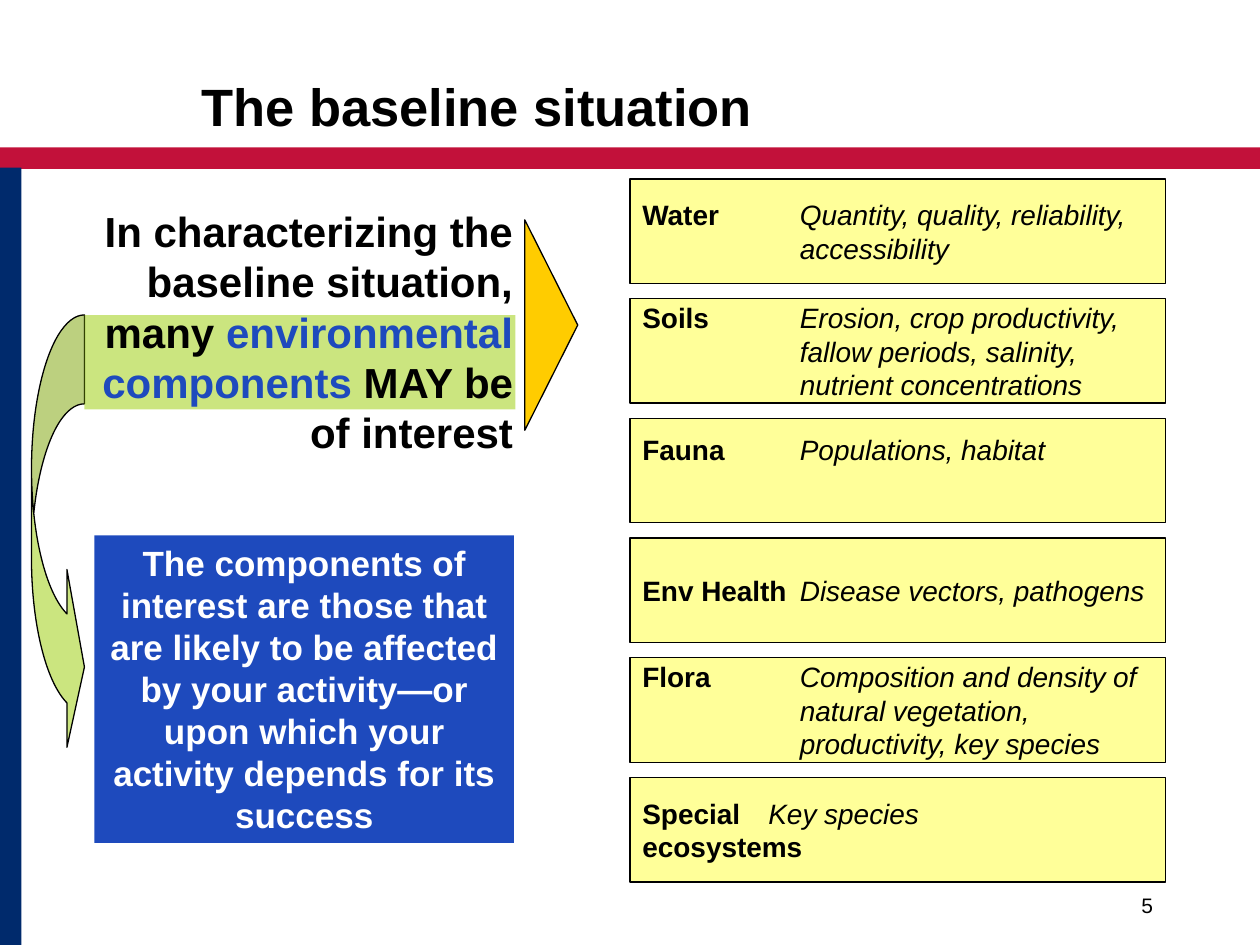
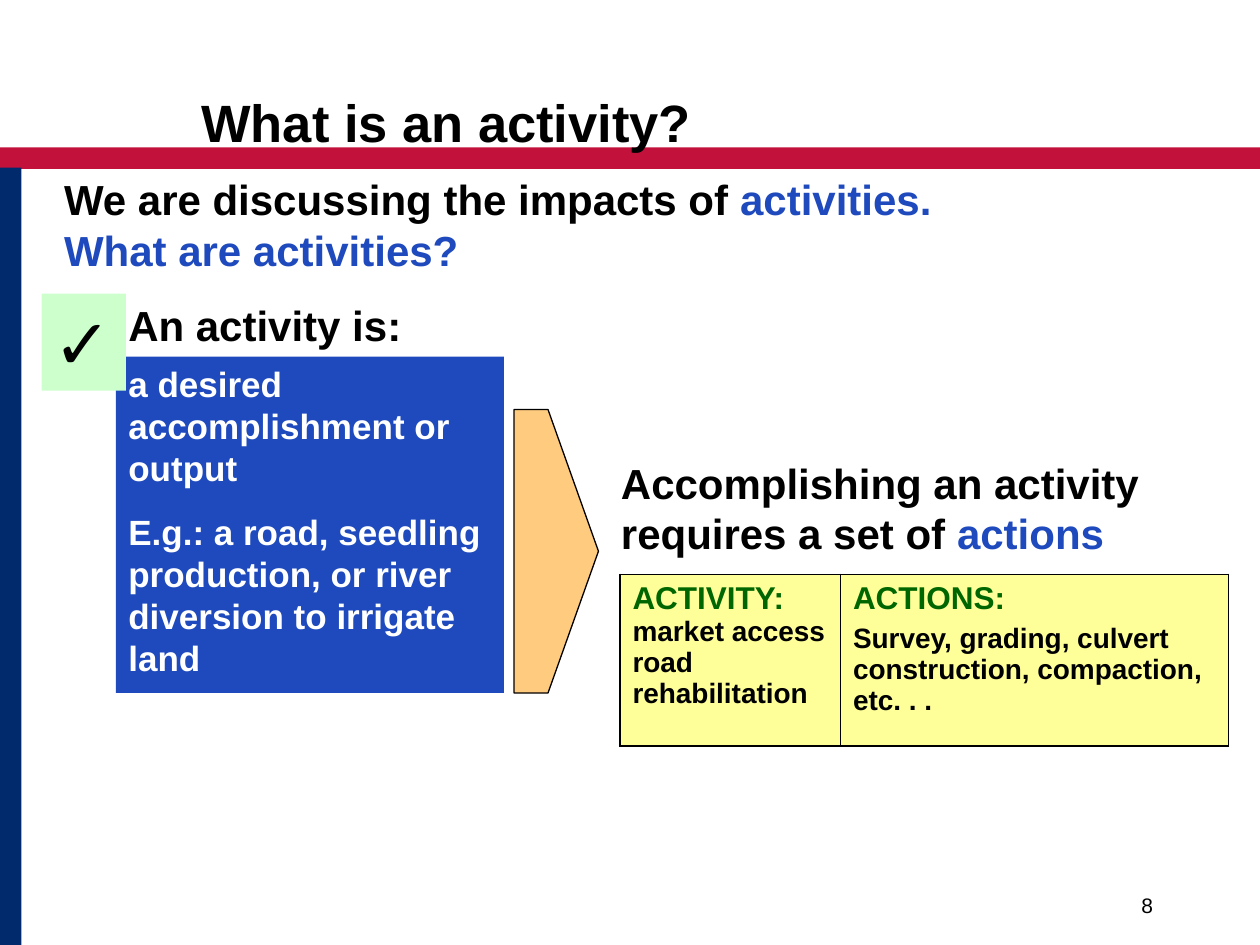
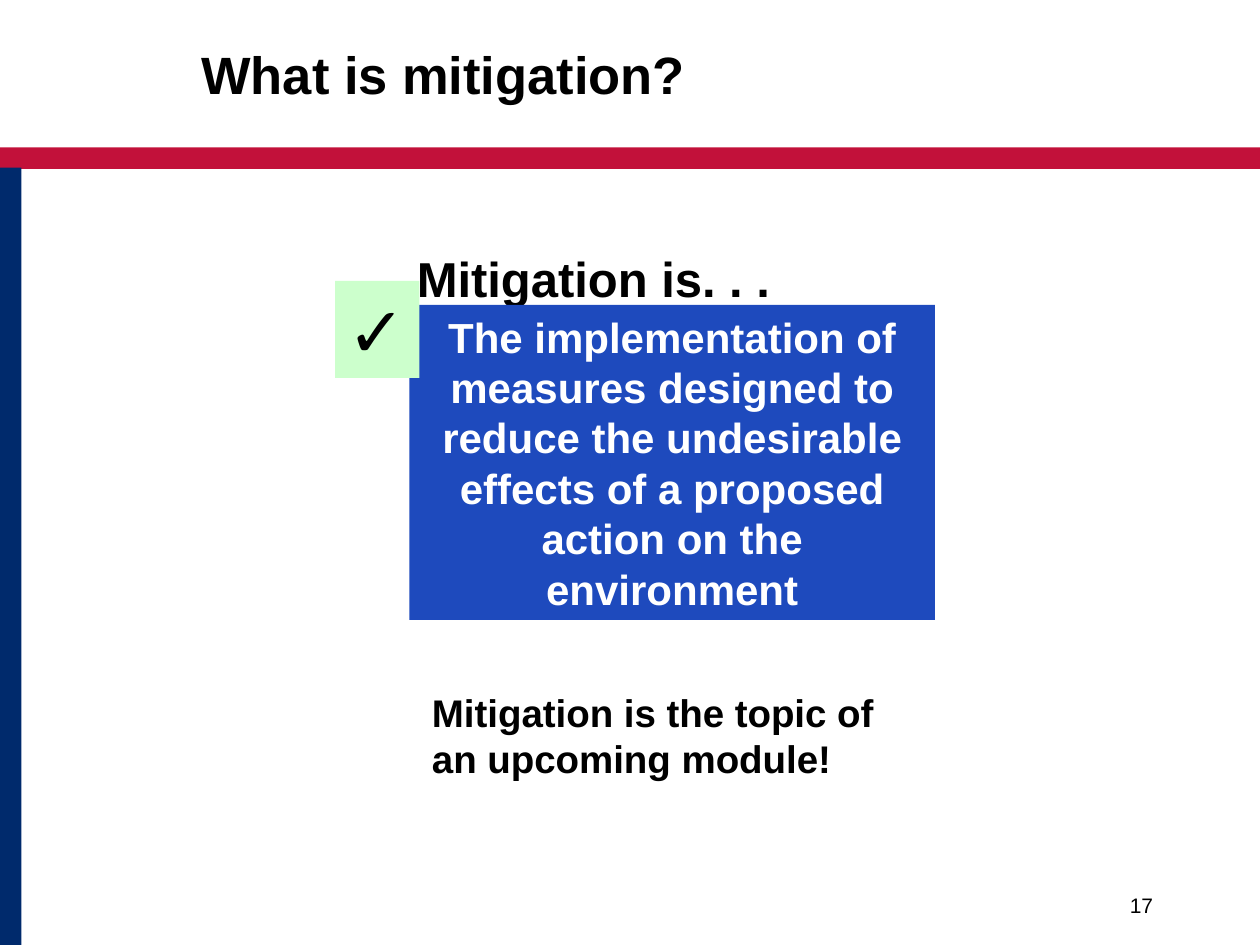
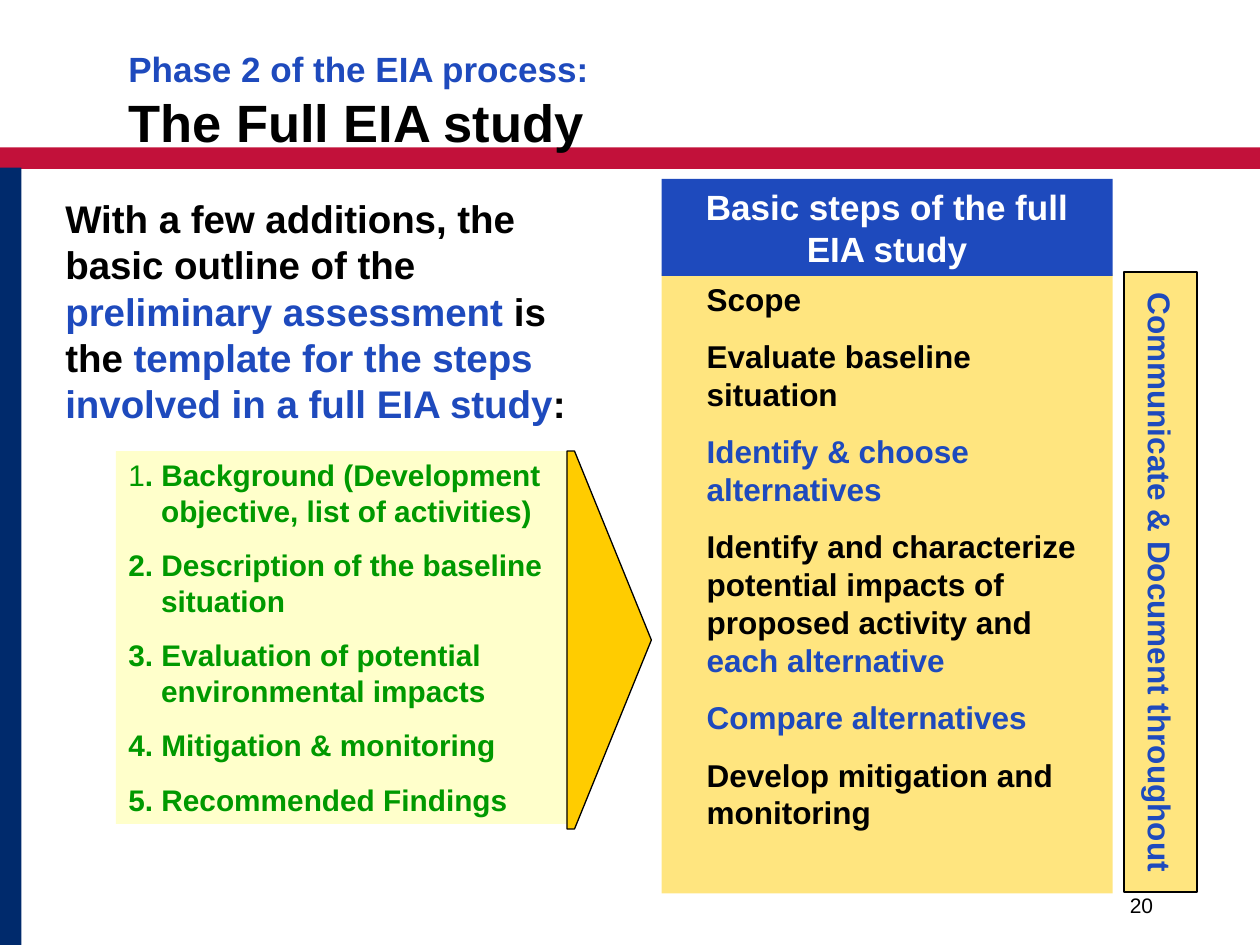
import pptx
import pptx.util
import pptx.dml.color
import pptx.enum.shapes
import pptx.enum.text
import pptx.oxml
import pptx.oxml.ns
from lxml import etree

Inches = pptx.util.Inches
Pt = pptx.util.Pt
MSO = pptx.enum.shapes.MSO_SHAPE
ALIGN = pptx.enum.text.PP_ALIGN
ANCHOR = pptx.enum.text.MSO_ANCHOR
qn = pptx.oxml.ns.qn

COLORS = {
    "black": "000000",
    "white": "FFFFFF",
    "red": "C2113A",
    "navy": "002A6C",
    "blue": "1E4ABD",
    "gold": "FFCC00",
    "lime": "99CC00",
    "orange": "FF9900",
    "yellow": "FFFF99",
    "mint": "CCFFCC",
    "green": "009900",
    "dark green": "006600",
}
FONT = "Arial"
BLUE = {"color": "blue"}
ITALIC = {"bold": False, "italic": True}


def rgb(name):
    return pptx.dml.color.RGBColor.from_string(COLORS[name])


def add_run(p, text, fmt):
    r = p.add_run()
    r.text = text
    font = {"name": FONT, "bold": True, "color": "black", **fmt}
    r.font.color.rgb = rgb(font.pop("color"))
    for key, value in font.items():
        setattr(r.font, key, value)


def set_indent(p, left, first=0.0, tab=None):
    pPr = p._p.get_or_add_pPr()
    pPr.set("marL", str(Inches(left)))
    pPr.set("indent", str(Inches(first)))
    if tab:
        tabs = etree.SubElement(pPr, qn("a:tabLst"))
        etree.SubElement(tabs, qn("a:tab"), pos=str(Inches(tab)), algn="l")


def write(tf, paragraphs, size, fmt=None, gap=0, indent=None, para=None):
    for i, runs in enumerate(paragraphs):
        p = tf.paragraphs[0] if i == 0 else tf.add_paragraph()
        for key, value in (para or {}).items():
            setattr(p, key, value)
        if i and gap:
            p.space_before = Pt(gap)
        if indent:
            set_indent(p, *indent)
        for run in [(runs, {})] if isinstance(runs, str) else runs:
            text, own = run
            for n, line in enumerate(text.split("\n")):
                if n:
                    p.add_line_break()
                if line:
                    add_run(p, line, {"size": Pt(size), **(fmt or {}), **own})


def set_frame(tf, anchor=ANCHOR.TOP, wrap=True):
    values = {
        "word_wrap": wrap,
        "vertical_anchor": anchor,
        "margin_left": Inches(0.1),
        "margin_right": Inches(0.1),
        "margin_top": Inches(0.05),
        "margin_bottom": Inches(0.05),
    }
    for key, value in values.items():
        setattr(tf, key, value)
    return tf


def paint(sp, fill, line=None, alpha=None):
    sp.shadow.inherit = False
    sp.fill.solid()
    sp.fill.fore_color.rgb = rgb(fill)
    if alpha:
        color = sp._element.spPr.find(qn("a:solidFill"))[0]
        etree.SubElement(color, qn("a:alpha"), val=str(alpha * 1000))
    if line:
        sp.line.color.rgb = rgb(line)
        sp.line.width = Pt(0.75)
    else:
        sp.line.fill.background()


def add_box(s, at, fill, line=None, alpha=None, kind=MSO.RECTANGLE, adj=(), rotation=0):
    sp = s.shapes.add_shape(kind, *map(Inches, at))
    paint(sp, fill, line, alpha)
    for i, value in enumerate(adj):
        sp.adjustments[i] = value
    sp.rotation = rotation
    return sp


def add_text_box(s, at, paragraphs, size, anchor=ANCHOR.TOP, wrap=True, **style):
    tf = set_frame(s.shapes.add_textbox(*map(Inches, at)).text_frame, anchor, wrap)
    write(tf, paragraphs, size, **style)


def add_panel(s, at, paragraphs, size, fill="blue", color="white", align=ALIGN.LEFT,
              anchor=ANCHOR.TOP, wrap=True, line=None, alpha=None, rotation=0, **style):
    sp = add_box(s, at, fill, line, alpha, rotation=rotation)
    tf = set_frame(sp.text_frame, anchor, wrap)
    write(tf, paragraphs, size, fmt={"color": color}, para={"alignment": align}, **style)
    return tf


def add_check(s, left, top):
    add_panel(s, (left, top, 0.67, 0.77), ["✓"], 40, "mint", "black")


def add_block_arrow(s, left, top, width, height, neck, fill, alpha=None):
    right, bottom = left + width, top + height
    points = [(left + neck, top), (right, top + height / 2), (left + neck, bottom), (left, bottom)]
    builder = s.shapes.build_freeform(Inches(left), Inches(top))
    builder.add_line_segments([(Inches(x), Inches(y)) for x, y in points], close=True)
    paint(builder.convert_to_shape(), fill, "black", alpha)


def set_borders(cell, widths):
    tcPr = cell._tc.get_or_add_tcPr()
    for i, (side, width) in enumerate(widths.items()):
        ln = pptx.oxml.parse_xml(
            f'<a:{side} xmlns:a="http://schemas.openxmlformats.org/drawingml/2006/main" '
            f'w="{Pt(width)}"><a:solidFill><a:srgbClr val="{COLORS["black"]}"/>'
            f'</a:solidFill></a:{side}>')
        tcPr.insert(i, ln)


def add_action_table(s, at, widths, cells):
    table = s.shapes.add_table(1, len(cells), *map(Inches, at)).table
    table.first_row = table.horz_banding = False
    for i, paragraphs in enumerate(cells):
        table.columns[i].width = Inches(widths[i])
        cell = table.cell(0, i)
        cell.fill.solid()
        cell.fill.fore_color.rgb = rgb("yellow")
        write(cell.text_frame, paragraphs, 16, gap=4)
        left = 1.08 if i == 0 else 0.45
        right = 1.08 if i == len(cells) - 1 else 0.45
        set_borders(cell, {"lnL": left, "lnR": right, "lnT": 1.08, "lnB": 1.08})


def add_slide(prs, number, title, at, anchor=ANCHOR.MIDDLE):
    s = prs.slides.add_slide(prs.slide_layouts[6])
    add_box(s, (0, 1.17, 10, 0.17), "red")
    add_box(s, (0, 1.33, 0.17, 6.17), "navy")
    add_text_box(s, (7.17, 6.83, 2.08, 0.5), [str(number)], 12, ANCHOR.BOTTOM,
                 fmt={"bold": False}, para={"alignment": ALIGN.RIGHT})
    add_text_box(s, at, [title], 30, anchor)
    return s


def baseline_slide(prs):
    s = add_slide(prs, 5, "The baseline situation", (1.5, 0.5, 7, 0.67))
    add_box(s, (0.25, 2.5, 0.42, 3.5), "lime", "black", 50,
            MSO.CURVED_RIGHT_ARROW, (1.68, 3.36, 0.33))
    add_box(s, (0.67, 2.5, 3.42, 0.75), "lime", alpha=50)
    add_text_box(s, (0.65, 1.58, 3.52, 2.1), [[
        ("In characterizing the baseline situation, many ", {}),
        ("environmental components", BLUE),
        (" MAY be of interest", {}),
    ]], 24, para={"alignment": ALIGN.RIGHT})
    components = [
        ("Water", "Quantity, quality, reliability, accessibility"),
        ("Soils", "Erosion, crop productivity, fallow periods, salinity, nutrient concentrations"),
        ("Fauna", "Populations, habitat"),
        ("Env Health", "Disease vectors, pathogens"),
        ("Flora", "Composition and density of natural vegetation, productivity, key species"),
        ("Special", "Key species"),
    ]
    for i, (name, detail) in enumerate(components):
        runs = [(name + "\t", {}), (detail, ITALIC)]
        indent = (1.25, -1.25)
        if name == "Special":
            runs.append(("\necosystems", {}))
            indent = (0, 0, 1.25)
        tf = add_panel(s, (5, 1.42 + 0.95 * i, 4.25, 0.83), [runs], 16, "yellow", "black",
                       anchor=ANCHOR.MIDDLE, line="black", indent=indent)
        if name == "Fauna":
            tf.margin_bottom = Inches(0.38)
    add_box(s, (3.54, 2.37, 1.67, 0.42), "gold", "black",
            kind=MSO.DOWN_ARROW, adj=(0.62, 1), rotation=270)
    add_panel(s, (0.75, 4.25, 3.33, 2.44), [
        "The components of interest are those that are likely to be affected by your "
        "activity—or upon which your activity depends for its success"], 20, align=ALIGN.CENTER)


def activity_slide(prs):
    s = add_slide(prs, 8, "What is an activity?", (1.5, 0.63, 8.5, 0.67))
    heading = {"size": Pt(18), "color": "dark green"}
    add_action_table(s, (4.92, 4.56, 4.83, 1.36), (1.75, 3.08), [
        [[("ACTIVITY:\n", heading), ("market access road rehabilitation", {})]],
        [[("ACTIONS:", heading)], "Survey, grading, culvert construction, compaction, etc. . ."],
    ])
    add_panel(s, (0.92, 2.83, 3.08, 2.67), [
        "a desired accomplishment or output",
        "E.g.: a road, seedling production, or river diversion to irrigate land",
    ], 20, gap=12.5)
    add_text_box(s, (0.92, 2.33, 3.67, 0.5), ["An activity is:"], 24)
    add_check(s, 0.33, 2.33)
    add_block_arrow(s, 4.08, 3.25, 0.67, 2.25, 0.27, "orange", 50)
    add_text_box(s, (4.83, 3.58, 4.5, 0.5), [[
        ("Accomplishing an activity requires a set of ", {}), ("actions", BLUE)]], 24)
    add_text_box(s, (0.41, 1.33, 7.09, 0.9), [[
        ("We are discussing the impacts of ", {}),
        ("activities.\nWhat are activities?", BLUE)]], 24, wrap=False)


def mitigation_slide(prs):
    s = add_slide(prs, 17, "What is mitigation?", (1.5, 0.25, 8.5, 0.67))
    add_text_box(s, (2.83, 1.92, 5.33, 0.67), ["Mitigation is. . ."], 28, indent=(0.38,))
    add_panel(s, (3.25, 2.42, 4.17, 2.5), [
        "The implementation of measures designed to reduce the undesirable effects "
        "of a proposed action on the environment"], 24, align=ALIGN.CENTER)
    add_check(s, 2.66, 2.23)
    add_text_box(s, (3.33, 5.42, 4.08, 0.84),
                 ["Mitigation is the topic of an upcoming module!"], 22)


def full_study_slide(prs):
    title = [("Phase 2 of the EIA process:\n", {"size": Pt(20), **BLUE}), ("The Full EIA study", {})]
    s = add_slide(prs, 20, title, (0.92, 0.33, 8.5, 0.67), ANCHOR.TOP)
    add_text_box(s, (0.42, 1.5, 4.25, 2.08), [[
        ("With a few additions, the basic outline of the ", {}),
        ("preliminary assessment", BLUE),
        (" is the ", {}),
        ("template for the steps involved in a full EIA study", BLUE),
        (":", {}),
    ]], 22)
    add_panel(s, (5.25, 2.17, 3.58, 4.92), [
        "Scope",
        "Evaluate baseline situation",
        [("Identify & choose alternatives", BLUE)],
        [("Identify and characterize potential impacts of proposed activity and ", {}),
         ("each alternative", BLUE)],
        [("Compare alternatives", BLUE)],
        "Develop mitigation and monitoring",
    ], 18, "gold", "black", alpha=50, gap=11.2, indent=(0.26,))
    add_panel(s, (0.92, 3.58, 3.58, 2.96), [
        [("1", {"bold": False}), (". Background (Development objective, list of activities)", {})],
        "2. Description of the baseline situation",
        "3. Evaluation of potential environmental impacts",
        "4. Mitigation & monitoring",
        "5. Recommended Findings",
    ], 17, "yellow", "green", alpha=50, gap=10.6, indent=(0.26, -0.26))
    add_block_arrow(s, 4.5, 3.58, 0.67, 3, 0.06, "gold")
    add_panel(s, (5.25, 1.42, 3.58, 0.77), ["Basic steps of the full EIA study"], 20,
              align=ALIGN.CENTER)
    add_panel(s, (6.75, 4.33, 4.92, 0.58), ["Communicate & Document throughout"], 18,
              "gold", "blue", ALIGN.CENTER, ANCHOR.MIDDLE, False, "black", 50, 90)


def main():
    prs = pptx.Presentation()
    prs.slide_width = Inches(10)
    prs.slide_height = Inches(7.5)
    for build in (baseline_slide, activity_slide, mitigation_slide, full_study_slide):
        build(prs)
    prs.save("out.pptx")


if __name__ == "__main__":
    main()
